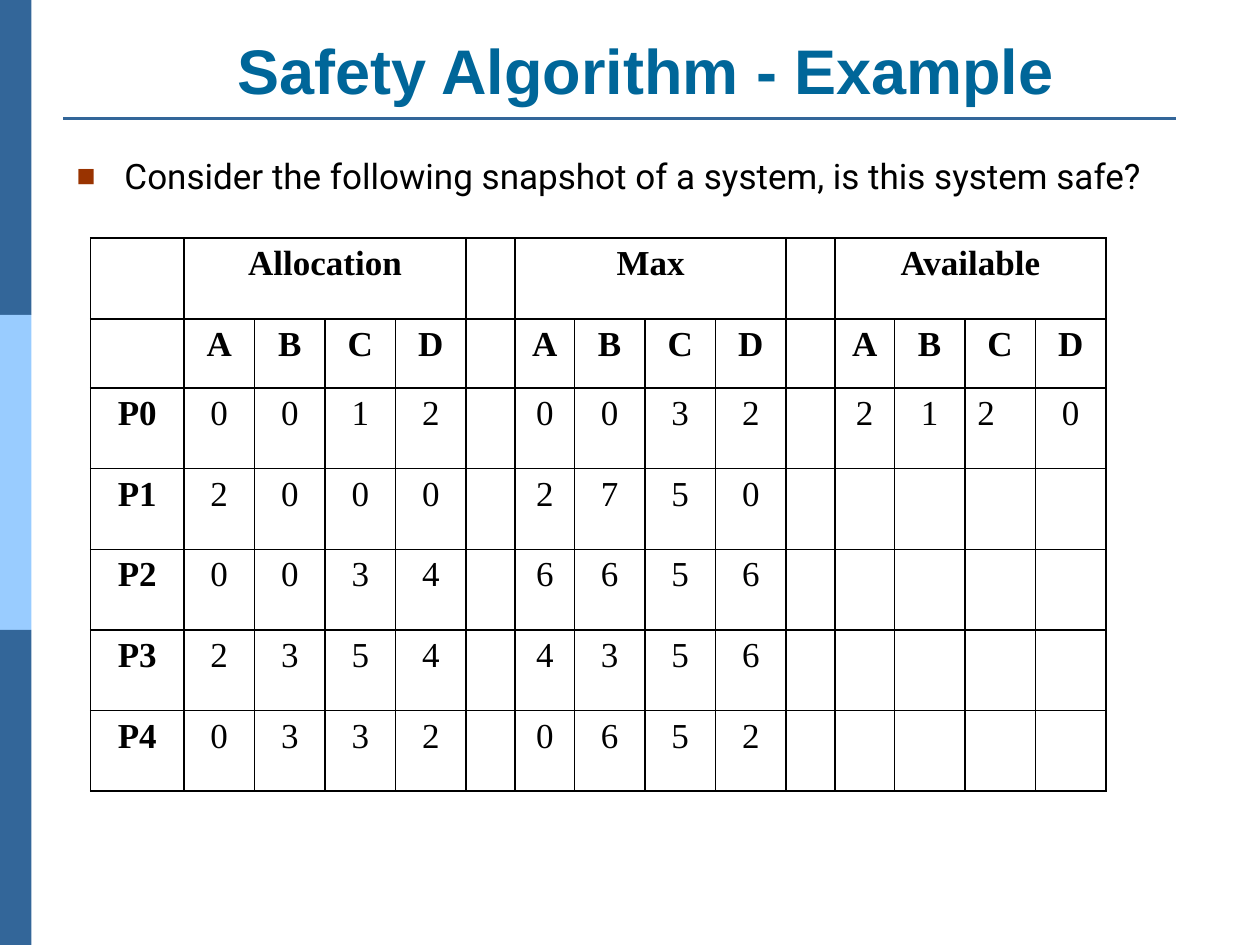
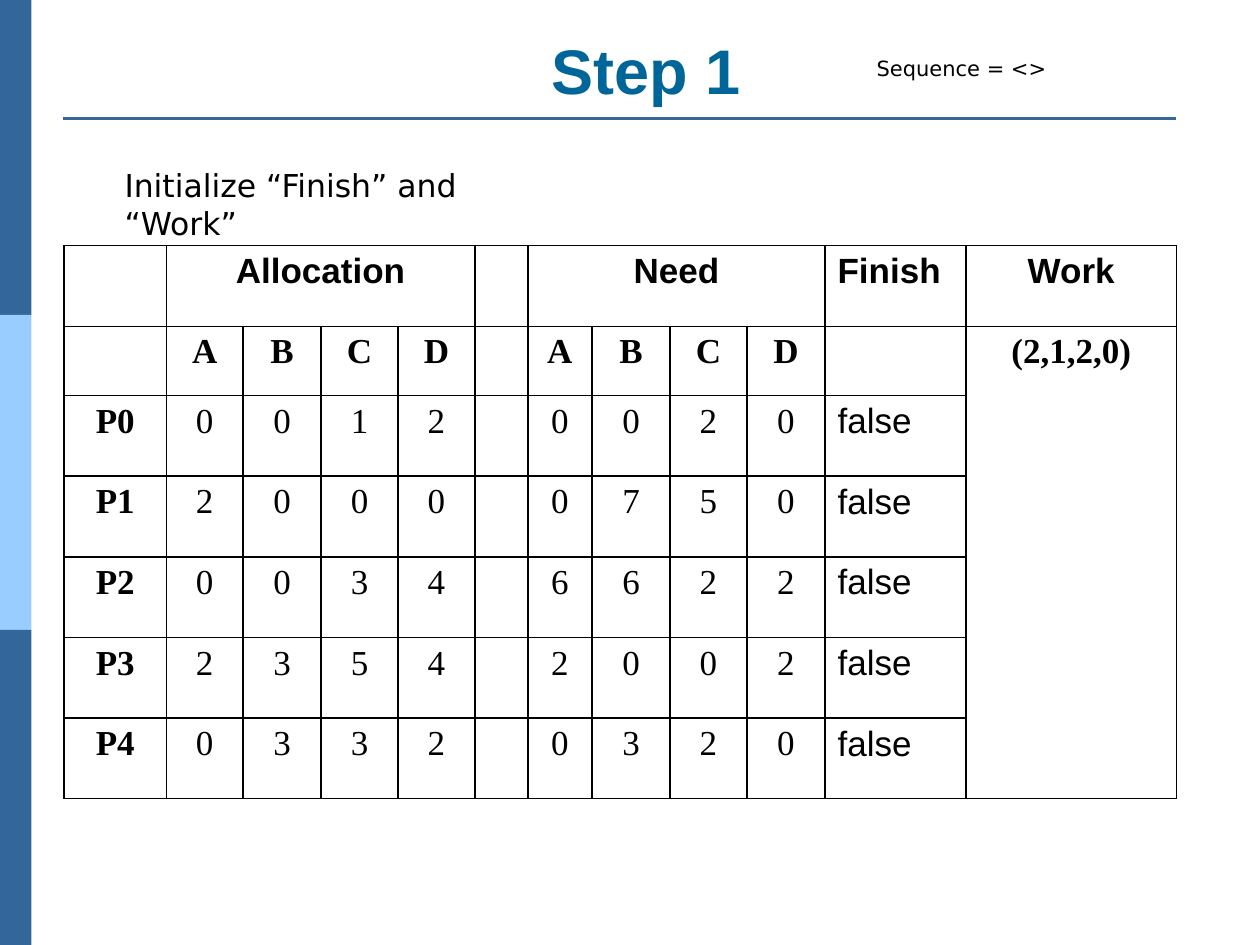
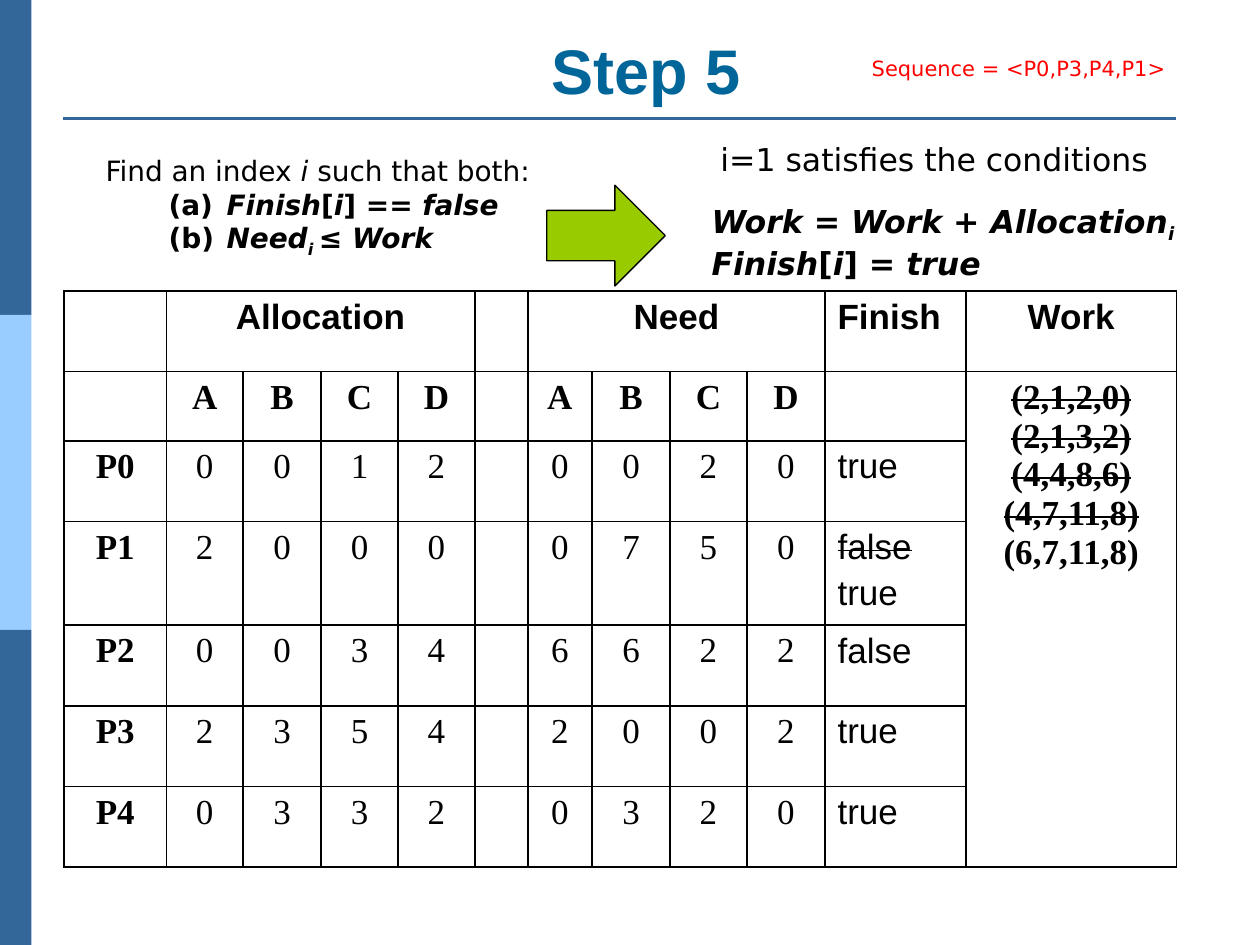
from lxml import etree
from pptx import Presentation
from pptx.dml.color import RGBColor
from pptx.enum import shapes, text
from pptx.oxml import parse_xml
from pptx.oxml import ns
from pptx.util import Inches, Pt

BLACK = RGBColor(0x00, 0x00, 0x00)
RED = RGBColor(0xFF, 0x00, 0x00)
STEEL = RGBColor(0x33, 0x66, 0x99)
SKY = RGBColor(0x99, 0xCC, 0xFF)
TITLE_BLUE = RGBColor(0x00, 0x66, 0x99)
ARROW_GREEN = RGBColor(0x99, 0xCC, 0x00)
SERIF, SANS, NOTE = "Times New Roman", "Arial", "DejaVu Sans"
LEFT, CENTER = text.PP_ALIGN.LEFT, text.PP_ALIGN.CENTER

ALLOCATION = ["0012", "2000", "0034", "2354", "0332"]
MAXIMUM = ["0032", "2750", "6656", "4356", "0652"]
NEED = ["0020", "0750", "6622", "2002", "0320"]
AVAILABLE = ["2120", "", "", "", ""]


def write(paragraph, words, size=18, font=NOTE, color=BLACK, align=LEFT, style=""):
    """Add one run; style letters are b(old), i(talic), s(truck out), _ (subscript)."""
    paragraph.alignment = align
    run = paragraph.add_run()
    run.text = words
    run.font.size, run.font.name = Pt(size), font
    run.font.color.rgb = color
    run.font.bold, run.font.italic = "b" in style, "i" in style
    if "s" in style:
        run.font._element.set("strike", "sngStrike")
    if "_" in style:
        run.font._element.set("baseline", "-25000")


def text_frame(slide, left, top, width, height, wrap=True):
    frame = slide.shapes.add_textbox(Inches(left), Inches(top), Inches(width), Inches(height)).text_frame
    frame.word_wrap = wrap
    return frame


prs = Presentation()
prs.slide_width, prs.slide_height = Inches(10), Inches(7.5)

# Tables: a leading ~ marks a struck-out line
letters = list("ABCD")
example_rows = [
    ["", "Allocation", "", "", "", "", "Max", "", "", "", "", "Available"],
    ["", *letters, "", *letters, "", *letters],
]
for process in range(5):
    example_rows.append([f"P{process}", *ALLOCATION[process], "", *MAXIMUM[process], "", *AVAILABLE[process]])

step_tables = []
for finish, work in [
    (["false"] * 5, "(2,1,2,0)"),
    (["true", "~false\ntrue", "false", "true", "true"],
     "~(2,1,2,0)\n~(2,1,3,2)\n~(4,4,8,6)\n~(4,7,11,8)\n(6,7,11,8)"),
]:
    rows = [
        ["", "Allocation", "", "", "", "", "Need", "", "", "", "Finish", "Work"],
        ["", *letters, "", *letters, "", work],
    ]
    for process in range(5):
        rows.append([f"P{process}", *ALLOCATION[process], "", *NEED[process], finish[process]])
    step_tables.append(rows)

EXAMPLE_WIDTHS = [0.74] + [0.56] * 4 + [0.39, 0.47] + [0.56] * 3 + [0.39, 0.47] + [0.56] * 3
STEP_WIDTHS = [0.81, 0.61, 0.62, 0.61, 0.61, 0.42, 0.51, 0.62, 0.61, 0.62, 1.12, 1.67]
EXAMPLE_SPANS = [(0, 1, 0, 4), (0, 6, 0, 9), (0, 11, 0, 14)]
STEP_SPANS = [(0, 1, 0, 4), (0, 6, 0, 9), (1, 11, 6, 11)]
FINISH_COLUMN = 10

pages = [
    ("Safety Algorithm - Example", example_rows, EXAMPLE_WIDTHS, EXAMPLE_SPANS, 0.72, 1.89),
    ("Step 1", step_tables[0], STEP_WIDTHS, STEP_SPANS, 0.51, 1.95),
    ("Step 5", step_tables[1], STEP_WIDTHS, STEP_SPANS, 0.51, 2.31),
]
slides = []
for title, rows, widths, spans, left, top in pages:
    slide = prs.slides.add_slide(prs.slide_layouts[6])
    slides.append(slide)

    for position, color in enumerate([STEEL, SKY, STEEL]):
        band = slide.shapes.add_shape(
            shapes.MSO_SHAPE.RECTANGLE, 0, Inches(2.5 * position), Inches(0.25), Inches(2.5))
        band.shadow.inherit = False
        band.fill.solid()
        band.fill.fore_color.rgb = color
        band.line.fill.background()
    rule = slide.shapes.add_connector(
        shapes.MSO_CONNECTOR.STRAIGHT, Inches(0.5), Inches(0.94), Inches(9.33), Inches(0.94))
    rule.line.color.rgb, rule.line.width = STEEL, Pt(1.5)
    etree.SubElement(rule._element.spPr, ns.qn("a:effectLst"))

    heading = text_frame(slide, 0.51, 0.17, 9.23, 0.73)
    heading.vertical_anchor = text.MSO_ANCHOR.BOTTOM
    write(heading.paragraphs[0], title, size=36, font=SANS, color=TITLE_BLUE, align=CENTER, style="b")

    heights = [0.55 if r == 1 else 0.82 if "\n" in row[-1] and r > 1 else 0.64
               for r, row in enumerate(rows)]
    table = slide.shapes.add_table(
        len(rows), len(widths), Inches(left), Inches(top), Inches(sum(widths)), Inches(sum(heights))).table
    table.first_row = table.horz_banding = False
    for column, width in zip(table.columns, widths):
        column.width = Inches(width)
    for table_row, height in zip(table.rows, heights):
        table_row.height = Inches(height)
    for cell in table.iter_cells():
        for side in ("lnL", "lnR", "lnT", "lnB"):
            cell._tc.get_or_add_tcPr().append(parse_xml(
                f'<a:{side} {ns.nsdecls("a")} w="12700"><a:solidFill><a:srgbClr val="{BLACK}"/>'
                f'</a:solidFill></a:{side}>'))
        cell.fill.background()
    for first_row, first_column, last_row, last_column in spans:
        table.cell(first_row, first_column).merge(table.cell(last_row, last_column))

    is_step = widths is STEP_WIDTHS
    for r, row in enumerate(rows):
        for c, entry in enumerate(row):
            if not entry:
                continue
            in_finish = is_step and c == FINISH_COLUMN
            font = SANS if in_finish or is_step and r == 0 else SERIF
            align = LEFT if in_finish or not is_step and (r, c) == (2, 13) else CENTER
            weight = "b" if r < 2 or c == 0 else ""
            frame = table.cell(r, c).text_frame
            for number, line in enumerate(entry.split("\n")):
                paragraph = frame.add_paragraph() if number else frame.paragraphs[0]
                if number and in_finish:
                    paragraph.space_before = Pt(4)
                strike = "s" if line.startswith("~") else ""
                write(paragraph, line.lstrip("~"), size=20, font=font, align=align, style=weight + strike)

example, step_1, step_5 = slides

# Safety Algorithm - Example
question = text_frame(example, 0.51, 1.18, 9.44, 0.5).paragraphs[0]
properties = question._p.get_or_add_pPr()
properties.set("marL", str(Inches(0.38)))
properties.set("indent", str(Inches(-0.38)))
for bullet in ('<a:buClr {}><a:srgbClr val="993300"/></a:buClr>', '<a:buSzPct {} val="90000"/>',
               '<a:buFont {} typeface="Arial"/>', '<a:buChar {} char="■"/>'):
    properties.append(parse_xml(bullet.format(ns.nsdecls("a"))))
write(question, "Consider the following snapshot of a system, is this system safe?", size=20, font="Roboto")

# Step 1
write(text_frame(step_1, 0.89, 1.27, 3.34, 0.4).paragraphs[0], "Initialize “Finish” and “Work”")
write(text_frame(step_1, 6.86, 0.39, 1.56, 0.3, wrap=False).paragraphs[0], "Sequence = <>", size=12)

# Step 5
write(text_frame(step_5, 6.82, 0.39, 2.58, 0.3, wrap=False).paragraphs[0],
      "Sequence = <P0,P3,P4,P1>", size=12, color=RED)

conditions = text_frame(step_5, 0.74, 1.17, 5, 0.91)
condition_lines = [
    [("Find an index ", ""), ("i ", "i"), ("such that both:", "")],
    [("(a)\t", "b"), ("Finish", "bi"), ("[", "b"), ("i", "bi"), ("] == ", "b"), ("false", "bi")],
    [("(b)\t", "b"), ("Need", "bi"), ("i ", "bi_"), ("≤ ", "b"), ("Work", "bi")],
]
for number, runs in enumerate(condition_lines):
    paragraph = conditions.add_paragraph() if number else conditions.paragraphs[0]
    if number:
        properties = paragraph._p.get_or_add_pPr()
        properties.set("marL", str(Inches(0.96)))
        properties.set("indent", str(Inches(-0.46)))
    for words, style in runs:
        write(paragraph, words, size=16, style=style)

arrow = step_5.shapes.add_shape(
    shapes.MSO_SHAPE.RIGHT_ARROW, Inches(4.34), Inches(1.47), Inches(0.94), Inches(0.8))
arrow.shadow.inherit = False
arrow.fill.solid()
arrow.fill.fore_color.rgb = ARROW_GREEN
arrow.line.color.rgb, arrow.line.width = BLACK, Pt(0.75)

write(text_frame(step_5, 5.62, 1.06, 3.63, 0.4, wrap=False).paragraphs[0], "i=1 satisfies the conditions")

update = text_frame(step_5, 5.55, 1.55, 3.98, 0.71).paragraphs[0]
for words, style in [("Work", "bi"), (" = ", "b"), ("Work", "bi"), (" + ", "b"), ("Allocation", "bi"), ("i", "bi_")]:
    write(update, words, style=style)
update.add_line_break()
for words, style in [("Finish", "bi"), ("[", "b"), ("i", "bi"), ("] = ", "b"), ("true", "bi")]:
    write(update, words, style=style)

prs.save("out.pptx")
